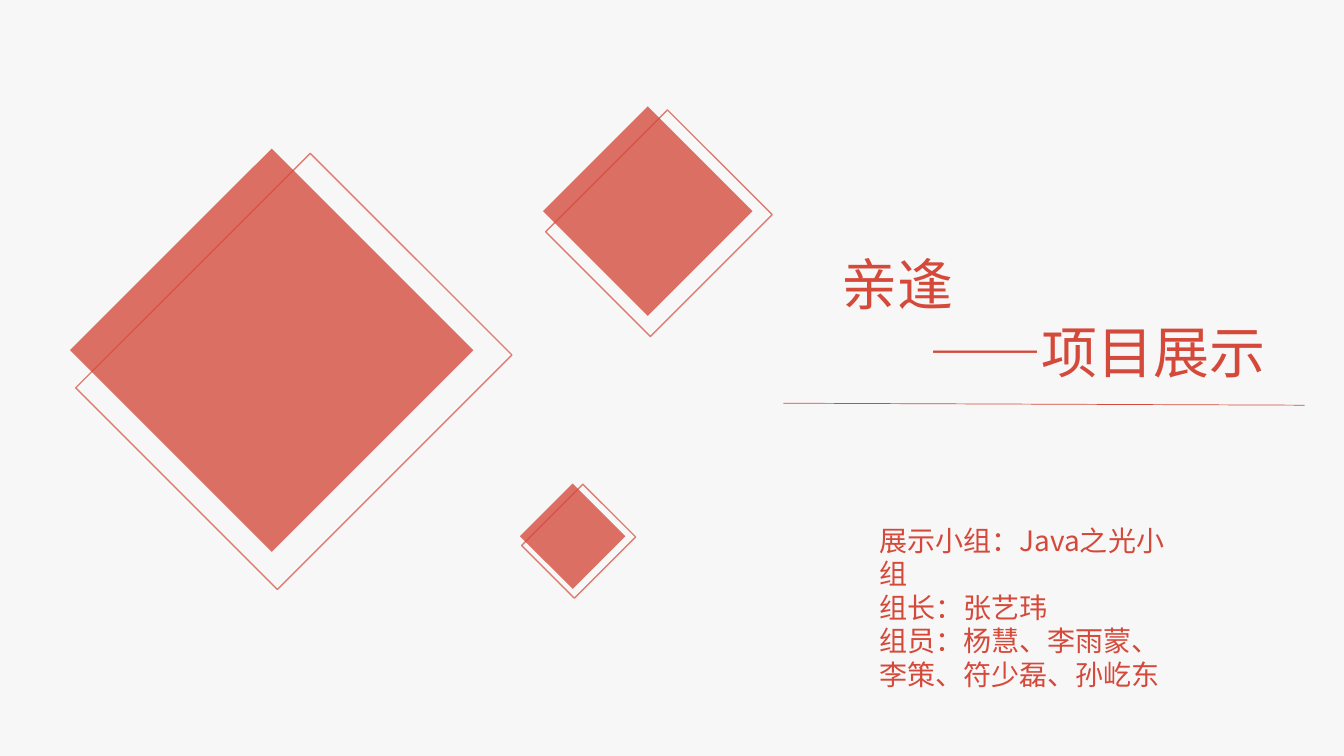
from lxml import etree
from pptx import Presentation
from pptx.dml.color import RGBColor
from pptx.enum import shapes, text
from pptx.oxml import ns
from pptx.util import Pt

PX = 9144  # 100 px to the inch
RED = RGBColor(0xD5, 0x49, 0x3A)
PAPER = RGBColor(0xF7, 0xF7, 0xF7)

# left, top, side of each filled square; left, top, height of its outline
DIAMONDS = [
    ((128, 206, 283), (150, 204, 329)),
    ((569, 136, 147), (580, 136, 171)),
    ((531, 495, 74), (537, 494, 86)),
]
TITLE = [("亲逢", 0), ("——项目展示", 87)]
TEAM = [
    ("展示小组：Java之光小组", 0),
    ("组长：张艺玮", 0),
    ("组员：杨慧、李雨蒙、", 0),
    ("李策、符少磊、孙屹东", 0),
]


class SlideBuilder:
    font = "Noto Sans CJK SC"
    color = RED

    def __init__(self, slide):
        self.slide = slide
        slide.background.fill.solid()
        slide.background.fill.fore_color.rgb = PAPER

    def set_alpha(self, fill, percent):
        """Make a solid fill in the style colour partly transparent."""
        fill.solid()
        fill.fore_color.rgb = self.color
        color = fill._xPr.find(".//" + ns.qn("a:srgbClr"))
        etree.SubElement(color, ns.qn("a:alpha"), val=str(percent * 1000))

    def square(self, group, left, top, width, height):
        shape = group.shapes.add_shape(
            shapes.MSO_SHAPE.RECTANGLE, left * PX, top * PX, width * PX, height * PX)
        shape.rotation = 45
        shape.shadow.inherit = False
        return shape

    def diamond(self, filled, outlined):
        """Draw an outline with a filled square on top, both standing on a corner."""
        group = self.slide.shapes.add_group_shape()
        left, top, height = outlined
        side = filled[2]
        outline = self.square(group, left, top, side, height)
        outline.fill.background()
        outline.line.width = Pt(1)
        self.set_alpha(outline.line.fill, 70)
        left, top, side = filled
        block = self.square(group, left, top, side, side)
        block.line.fill.background()
        self.set_alpha(block.fill, 78)

    def add_lines(self, frame, lines, size):
        """Fill a text frame with (wording, left margin) paragraphs."""
        frame.word_wrap = True
        frame.auto_size = text.MSO_AUTO_SIZE.NONE
        frame.vertical_anchor = text.MSO_ANCHOR.TOP
        for index, (wording, margin) in enumerate(lines):
            paragraph = frame.add_paragraph() if index else frame.paragraphs[0]
            paragraph.alignment = text.PP_ALIGN.LEFT
            paragraph.line_spacing = Pt(size * 1.2)
            paragraph._p.get_or_add_pPr().set("marL", str(margin * PX))
            run = paragraph.add_run()
            run.text = wording
            run.font.size = Pt(size)
            run.font.color.rgb = self.color
            run.font.name = self.font
            etree.SubElement(run._r.rPr, ns.qn("a:ea"), typeface=self.font)

    def title(self, left, top, width, height, lines, size):
        shape = self.slide.shapes.title
        shape.left, shape.top = left * PX, top * PX
        shape.width, shape.height = width * PX, height * PX
        frame = shape.text_frame
        frame.margin_left = frame.margin_right = 0
        frame.margin_top = frame.margin_bottom = 0
        self.add_lines(frame, lines, size)

    def text_box(self, left, top, width, height, lines, size):
        shape = self.slide.shapes.add_textbox(
            left * PX, top * PX, width * PX, height * PX)
        self.add_lines(shape.text_frame, lines, size)

    def rule(self, x1, y1, x2, y2):
        line = self.slide.shapes.add_connector(
            shapes.MSO_CONNECTOR.STRAIGHT, x1 * PX, y1 * PX, x2 * PX, y2 * PX)
        line.line.color.rgb = self.color
        line.line.width = Pt(0.5)
        etree.SubElement(line._element.spPr, ns.qn("a:effectLst"))


def main():
    presentation = Presentation()
    presentation.slide_width, presentation.slide_height = 1333 * PX, 750 * PX
    title_only = presentation.slide_layouts[5]
    builder = SlideBuilder(presentation.slides.add_slide(title_only))
    for filled, outlined in DIAMONDS:
        builder.diamond(filled, outlined)
    builder.text_box(862, 514, 328, 145, TEAM, 20)
    builder.title(835, 248, 553, 135, TITLE, 40)
    builder.rule(777, 400, 1294, 402)
    presentation.save("out.pptx")


if __name__ == "__main__":
    main()
